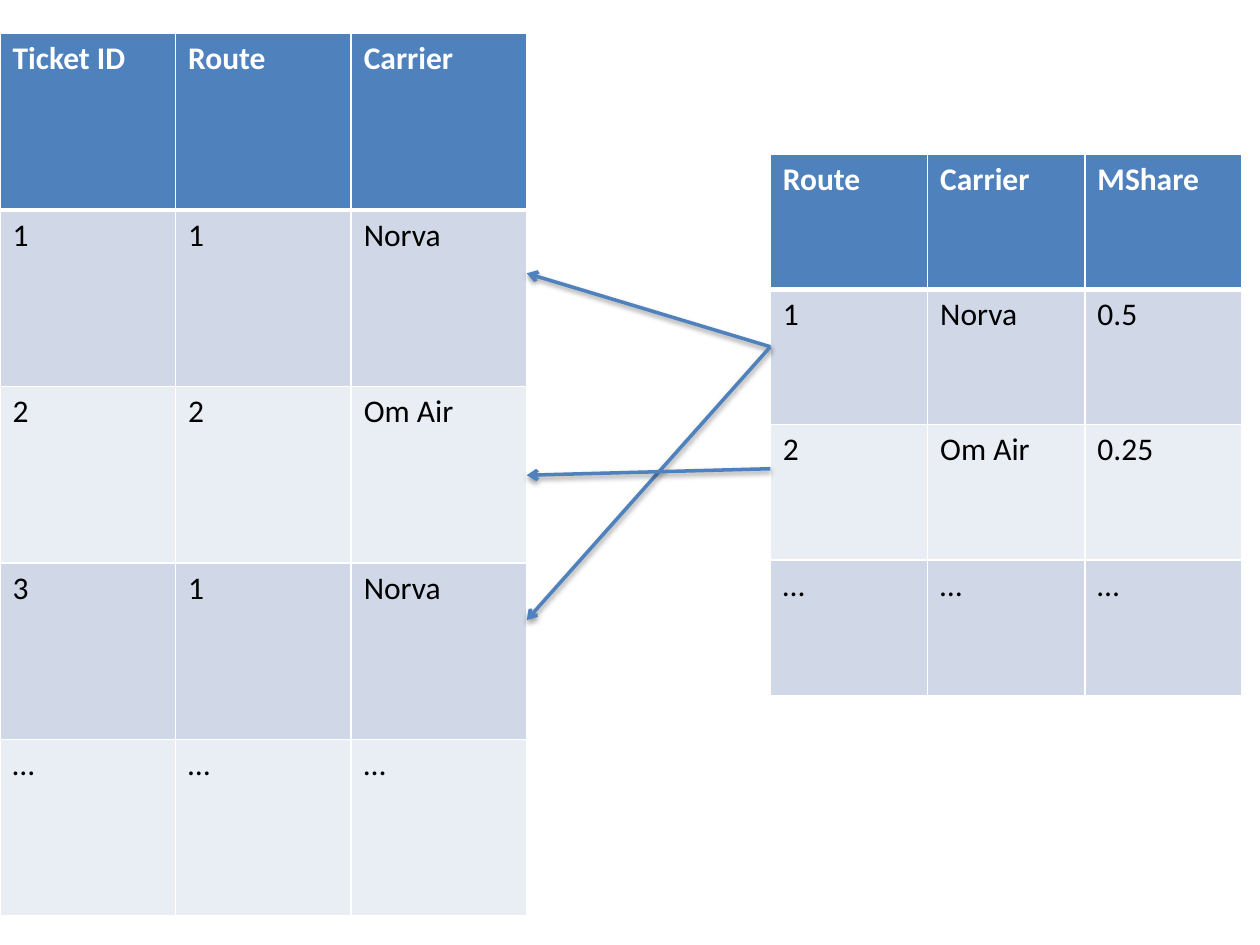
from lxml.etree import SubElement
from pptx import Presentation
from pptx.dml.color import RGBColor
from pptx.enum.shapes import MSO_CONNECTOR
from pptx.oxml import parse_xml
from pptx.oxml.ns import nsdecls, qn
from pptx.util import Cm, Pt

WHITE = RGBColor(0xFF, 0xFF, 0xFF)
BLACK = RGBColor(0x00, 0x00, 0x00)
BLUE = RGBColor(0x4F, 0x81, 0xBD)
BANDS = RGBColor(0xE9, 0xED, 0xF4), RGBColor(0xD0, 0xD8, 0xE8)

BASE = {"name": "Calibri", "size": Pt(18)}
HEAD = {**BASE, "bold": True}
BODY = {**BASE, "bold": False}

TICKETS = [
    ("Ticket ID", "Route", "Carrier"),
    ("1", "1", "Norva"),
    ("2", "2", "Om Air"),
    ("3", "1", "Norva"),
    ("…", "…", "…"),
]
SHARES = [
    ("Route", "Carrier", "MShare"),
    ("1", "Norva", "0.5"),
    ("2", "Om Air", "0.25"),
    ("…", "…", "…"),
]

# Edges of the gap between the tables, and arrow heights (right, left)
LEFT, RIGHT = 10.62, 15.53
LINKS = [(6.99, 5.51), (6.99, 12.5), (9.45, 9.58)]


def set_font(font, style, color):
    for key, value in style.items():
        setattr(font, key, value)
    font.color.rgb = color


def add_edges(cell, row):
    """Draw white cell borders, thick below the header row."""
    widths = {"L": 1, "R": 1, "T": 3 if row == 1 else 1, "B": 3 if row == 0 else 1}
    props = cell._tc.get_or_add_tcPr()
    for place, (side, width) in enumerate(widths.items()):
        props.insert(place, parse_xml(
            f'<a:ln{side} {nsdecls("a")} w="{Pt(width)}"><a:solidFill>'
            f'<a:srgbClr val="{WHITE}"/></a:solidFill></a:ln{side}>'))


def add_grid(slide, rows, left, top, wide, high):
    """Add a table whose columns and rows are all of one size."""
    count, cols = len(rows), len(rows[0])
    table = slide.shapes.add_table(
        count, cols, Cm(left), Cm(top), Cm(wide * cols), Cm(high * count)).table
    for col in table.columns:
        col.width = Cm(wide)
    for r, texts in enumerate(rows):
        table.rows[r].height = Cm(high)
        for c, text in enumerate(texts):
            cell = table.cell(r, c)
            cell.text = text
            run = cell.text_frame.paragraphs[0].runs[0]
            set_font(run.font, BODY if r else HEAD, BLACK if r else WHITE)
            cell.fill.solid()
            cell.fill.fore_color.rgb = BANDS[r % 2] if r else BLUE
            add_edges(cell, r)


def add_arrow(slide, start, end):
    """Add an arrow with a soft shadow from the right table to the left."""
    arrow = slide.shapes.add_connector(
        MSO_CONNECTOR.STRAIGHT, Cm(RIGHT), Cm(start), Cm(LEFT), Cm(end))
    arrow.line.color.rgb = BLUE
    arrow.line.width = Pt(2)
    SubElement(arrow.line._get_or_add_ln(), qn("a:tailEnd"), type="arrow")
    arrow._element.spPr.append(parse_xml(
        f'<a:effectLst {nsdecls("a")}><a:outerShdw blurRad="{Pt(3.1)}" '
        f'dist="{Pt(1.6)}" dir="5400000" rotWithShape="0"><a:srgbClr val="{BLACK}">'
        '<a:alpha val="38000"/></a:srgbClr></a:outerShdw></a:effectLst>'))


def main():
    deck = Presentation()
    deck.slide_width, deck.slide_height = Cm(25.4), Cm(19.05)
    slide = deck.slides.add_slide(deck.slide_layouts[6])

    # Tables
    add_grid(slide, TICKETS, 0, 0.67, 3.54, 3.56)
    add_grid(slide, SHARES, RIGHT, 3.1, 3.17, 2.73)

    # Arrows from each market share to its tickets
    for start, end in LINKS:
        add_arrow(slide, start, end)

    deck.save("out.pptx")


if __name__ == "__main__":
    main()
